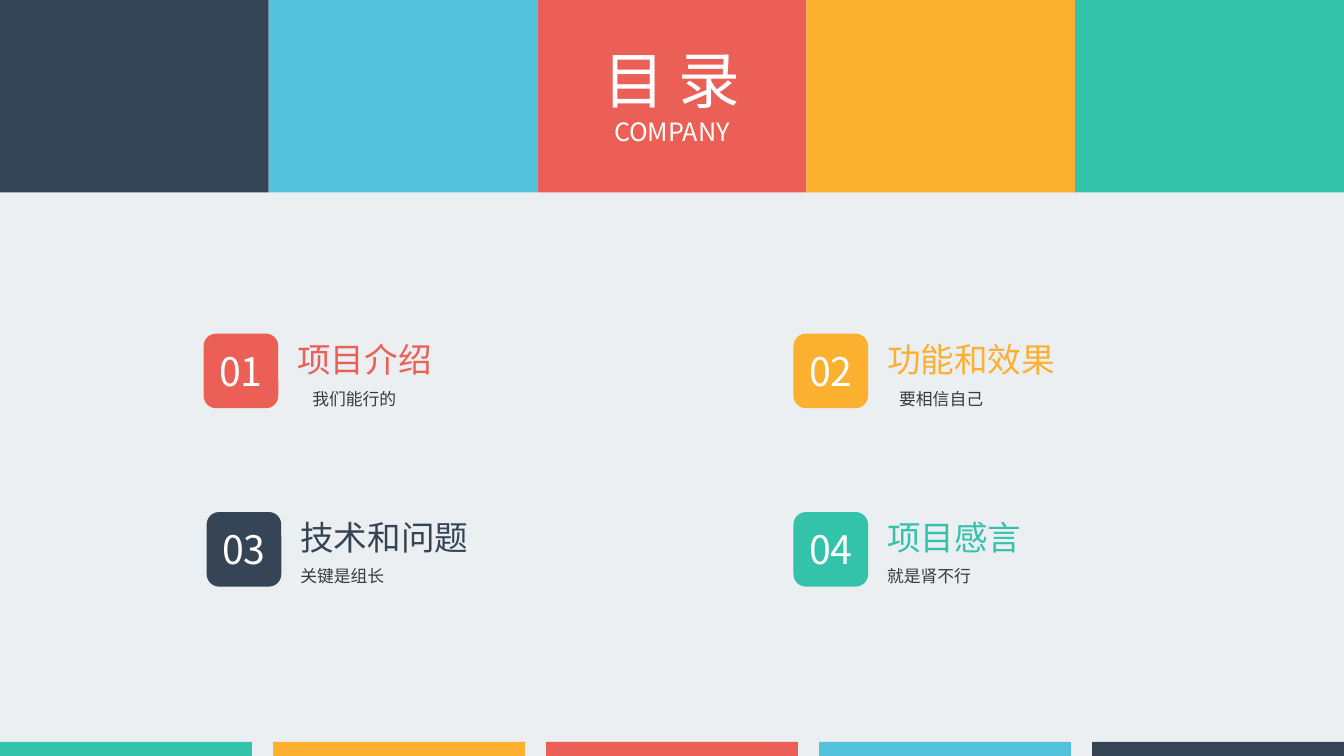
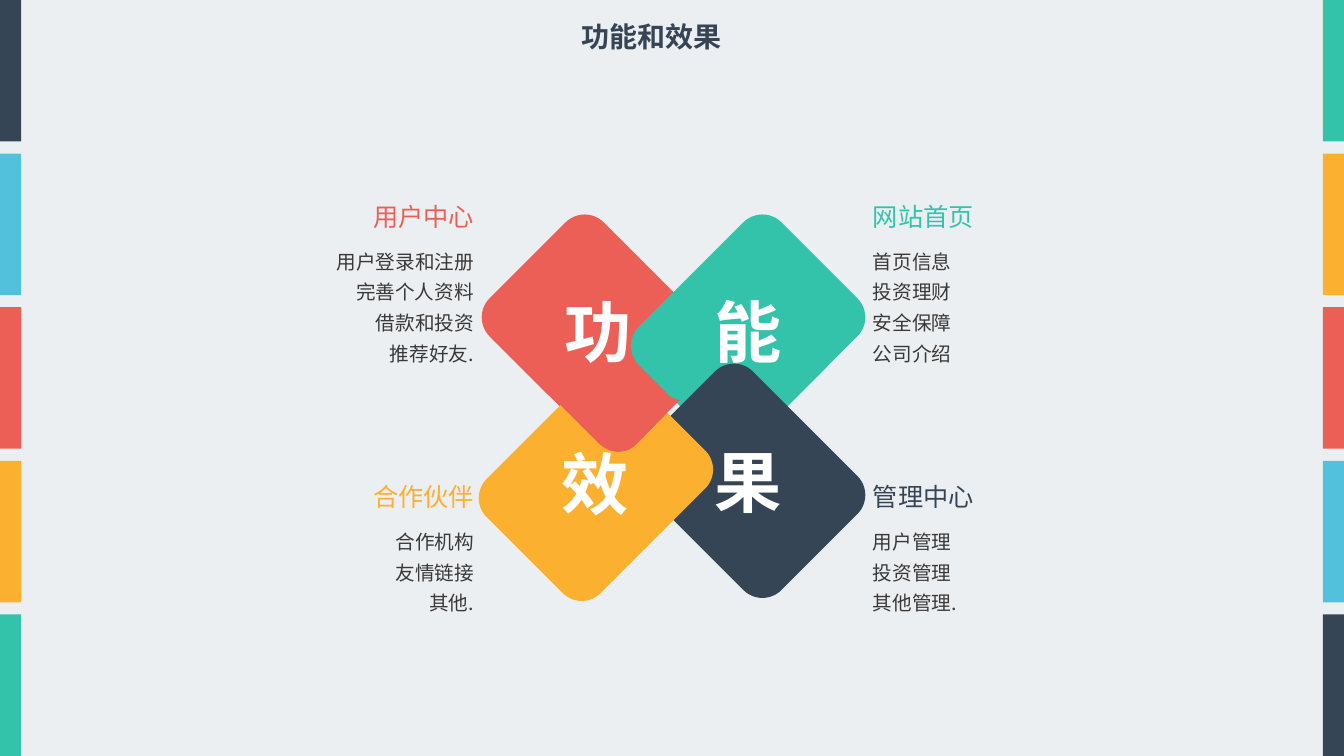
from lxml.etree import SubElement
from pptx import Presentation
from pptx.dml.color import RGBColor
from pptx.enum.shapes import MSO_SHAPE
from pptx.enum.text import MSO_ANCHOR, MSO_AUTO_SIZE, PP_ALIGN
from pptx.oxml.ns import qn
from pptx.util import Inches, Pt

WIDTH, HEIGHT = 13.33, 7.5
FONT = "Noto Sans CJK SC"
PAPER = RGBColor(0xEC, 0xEF, 0xF1)
WHITE = RGBColor(0xFF, 0xFF, 0xFF)
INK = RGBColor(0x3B, 0x38, 0x38)
NAVY = RGBColor(0x36, 0x45, 0x55)
BLUE = RGBColor(0x52, 0xC2, 0xDC)
RED = RGBColor(0xEB, 0x5F, 0x56)
AMBER = RGBColor(0xFC, 0xB0, 0x30)
TEAL = RGBColor(0x33, 0xC3, 0xAB)
PALETTE = [NAVY, BLUE, RED, AMBER, TEAL]

ENTRIES = [
    (2.02, 3.31, "01", "项目介绍", "我们能行的", (0.98, 0.5), RED),
    (7.87, 3.31, "02", "功能和效果", "要相信自己", (0.95, 0.5), AMBER),
    (2.05, 5.08, "03", "技术和问题", "关键是组长", (0.83, 0.48), NAVY),
    (7.87, 5.08, "04", "项目感言", "就是肾不行", (0.83, 0.48), TEAL),
]
TOPICS = [
    (8.56, 1.95, "网站首页", ["首页信息", "投资理财", "安全保障", "公司介绍"], TEAL, PP_ALIGN.LEFT),
    (8.56, 4.73, "管理中心", ["用户管理", "投资管理", "其他管理."], NAVY, PP_ALIGN.LEFT),
    (1.72, 1.95, "用户中心", ["用户登录和注册", "完善个人资料", "借款和投资", "推荐好友."], RED, PP_ALIGN.RIGHT),
    (1.72, 4.73, "合作伙伴", ["合作机构", "友情链接", "其他."], AMBER, PP_ALIGN.RIGHT),
]
DIAMONDS = [
    (0, 0.2, 2, 1.6, RED),
    (1.68, 0, 1.6, 2, TEAL),
    (1.48, 1.68, 2, 1.6, NAVY),
    (0.17, 1.51, 1.6, 2, AMBER),
]
LETTERS = [(1.88, 0.54, "能"), (0.36, 2.05, "效"), (1.88, 2.03, "果"), (0.39, 0.54, "功")]
OVERLAP = [
    [(0.3, 1.41)],
    [(0.6, 1.41), (0.86, 1.34), (1.15, 1.34)],
    [(1.52, 1.46)],
    [(1.43, 1.55), (1.5, 1.58), (1.8, 1.68)],
    [(1.38, 2.11)],
    [(1.28, 2.22), (1.11, 2.22), (1, 2.11)],
]


def paint(shape, colour):
    """Give a shape a flat fill without line or shadow."""
    shape.shadow.inherit = False
    shape.fill.solid()
    shape.fill.fore_color.rgb = colour
    shape.line.fill.background()
    return shape


def add_block(page, kind, left, top, width, height, colour):
    """Add one flat preset shape."""
    box = [Inches(value) for value in (left, top, width, height)]
    return paint(page.shapes.add_shape(kind, *box), colour)


def write(frame, lines, colour, align=PP_ALIGN.LEFT, spacing=None):
    """Fill a text frame with (text, size, bold) lines."""
    for index, (text, size, bold) in enumerate(lines):
        para = frame.add_paragraph() if index else frame.paragraphs[0]
        para.alignment = align
        para.line_spacing = spacing
        span = para.add_run()
        span.text = text
        for name, value in {"size": Pt(size), "bold": bold, "name": FONT}.items():
            setattr(span.font, name, value)
        span.font.color.rgb = colour
        SubElement(span.font._element, qn("a:ea"), typeface=FONT)


def add_text(page, left, top, width, height, lines, colour, align=PP_ALIGN.LEFT, spacing=None, wrap=False):
    """Add a text box that grows with its lines."""
    box = page.shapes.add_textbox(*[Inches(value) for value in (left, top, width, height)])
    for name, value in {"word_wrap": wrap, "auto_size": MSO_AUTO_SIZE.SHAPE_TO_FIT_TEXT}.items():
        setattr(box.text_frame, name, value)
    write(box.text_frame, lines, colour, align, spacing)


def add_strip(page, left, top, width, height, colours, gap=0, vertical=False):
    """Divide a box into equal coloured bars."""
    length = height if vertical else width
    size = (length - gap * (len(colours) - 1)) / len(colours)
    for index, colour in enumerate(colours):
        offset = index * (size + gap)
        if vertical:
            bar = (left, top + offset, width, size)
        else:
            bar = (left + offset, top, size, height)
        add_block(page, MSO_SHAPE.RECTANGLE, *bar, colour)


def add_entry(page, left, top, number, heading, note, note_offset, colour):
    """Add a numbered entry of the contents."""
    badge = add_block(page, MSO_SHAPE.ROUNDED_RECTANGLE, left, top, 0.74, 0.74, colour)
    badge.text_frame.vertical_anchor = MSO_ANCHOR.MIDDLE
    write(badge.text_frame, [(number, 28, False)], WHITE, PP_ALIGN.CENTER)
    add_text(page, left + 0.83, top, 2.58, 0.5, [(heading, 24, False)], colour, wrap=True)
    across, down = note_offset
    add_text(page, left + across, top + down, 1.03, 0.3, [(note, 12, False)], INK)


def add_topic(page, left, top, heading, items, colour, align):
    """Add a coloured heading with its list, aligned to one side."""
    width = 3.08
    shift = width - 1.2 if align == PP_ALIGN.RIGHT else 0
    add_text(page, left + shift, top, 1.2, 0.4, [(heading, 18, False)], colour, align)
    lines = [(item, 14, False) for item in items]
    add_text(page, left, top + 0.41, width, 0.3 * len(items) + 0.1, lines, INK, align, 1.3, True)


def curve_points(start, first, second, end, steps=10):
    """Return points along a cubic curve after its start."""
    points = []
    for step in range(1, steps + 1):
        t = step / steps
        weights = ((1 - t) ** 3, 3 * t * (1 - t) ** 2, 3 * t * t * (1 - t), t ** 3)
        corners = (start, first, second, end)
        points.append(tuple(sum(w * c[axis] for w, c in zip(weights, corners)) for axis in (0, 1)))
    return points


def add_diamonds(page, left, top):
    """Add four interlocking diamonds with their letters."""
    for across, down, width, height, colour in DIAMONDS:
        diamond = add_block(page, MSO_SHAPE.ROUNDED_RECTANGLE, left + across, top + down, width, height, colour)
        diamond.rotation = 45
    for across, down, letter in LETTERS:
        add_text(page, left + across, top + down, 1.2, 0.91, [(letter, 48, True)], WHITE, PP_ALIGN.CENTER, wrap=True)
    points = list(OVERLAP[0])
    for part in OVERLAP[1:]:
        points += curve_points(points[-1], *part) if len(part) == 3 else part
    corners = [(Inches(left + across), Inches(top + down)) for across, down in points]
    builder = page.shapes.build_freeform(*corners[0])
    builder.add_line_segments(corners[1:], close=True)
    paint(builder.convert_to_shape(), RED)


def add_page(deck):
    """Add a blank page with the shared background."""
    page = deck.slides.add_slide(deck.slide_layouts[6])
    page.background.fill.solid()
    page.background.fill.fore_color.rgb = PAPER
    return page


def build_contents(deck):
    """Build the contents page."""
    page = add_page(deck)
    add_strip(page, 0, 0, WIDTH, 1.91, PALETTE)
    add_text(page, 5.85, 0.37, 1.63, 1.18, [("目 录", 44, False), ("COMPANY", 18, False)], WHITE, PP_ALIGN.CENTER)
    for entry in ENTRIES:
        add_entry(page, *entry)
    add_strip(page, 0, HEIGHT - 0.14, WIDTH, 0.14, PALETTE[::-1], 0.21)


def build_features(deck):
    """Build the features page."""
    page = add_page(deck)
    add_text(page, 5.66, 0.14, 1.6, 0.44, [("功能和效果", 20, True)], NAVY, PP_ALIGN.CENTER)
    for topic in TOPICS:
        add_topic(page, *topic)
    add_diamonds(page, 4.94, 2.29)
    for left, colours in ((0, PALETTE), (WIDTH - 0.21, PALETTE[::-1])):
        add_strip(page, left, 0, 0.21, HEIGHT, colours, 0.12, True)


def main():
    """Build and save the deck."""
    deck = Presentation()
    deck.slide_width, deck.slide_height = Inches(WIDTH), Inches(HEIGHT)
    build_contents(deck)
    build_features(deck)
    deck.save("out.pptx")


if __name__ == "__main__":
    main()
